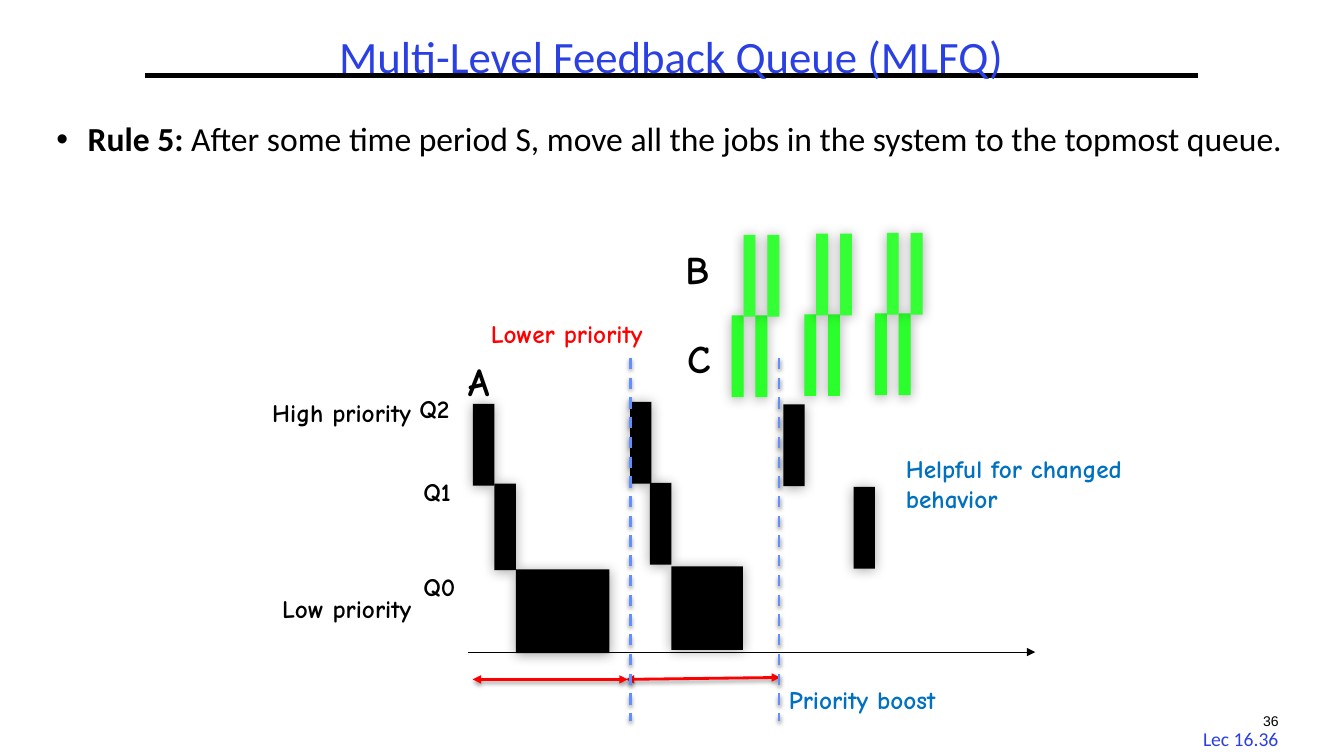
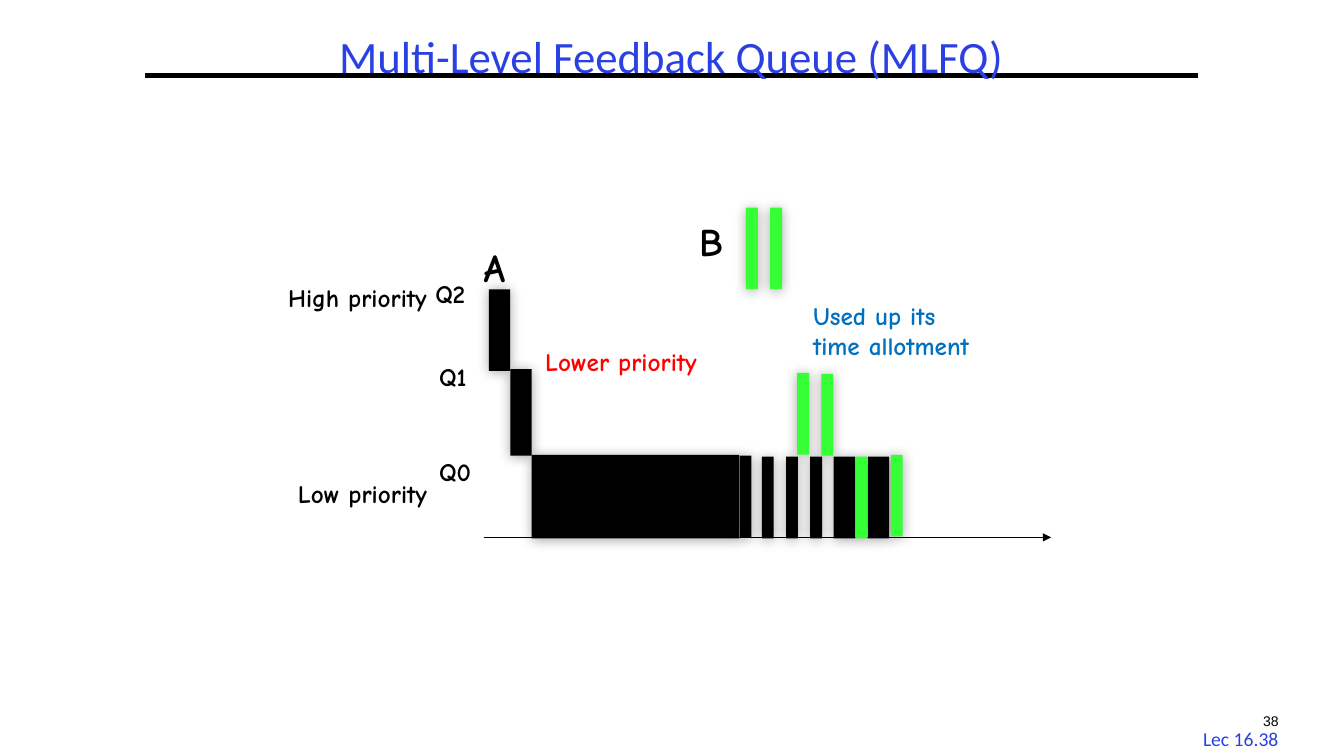
from lxml import etree
from pptx import Presentation
from pptx.dml.color import RGBColor
from pptx.enum.dml import MSO_LINE_DASH_STYLE as Dash
from pptx.enum.shapes import MSO_CONNECTOR as Connector, MSO_SHAPE as Shape
from pptx.enum.text import MSO_ANCHOR as Anchor, PP_ALIGN as Align
from pptx.oxml.ns import qn
from pptx.util import Cm, Pt

BLACK = RGBColor(0x00, 0x00, 0x00)
TITLE_BLUE = RGBColor(0x2A, 0x40, 0xE2)
NOTE_BLUE = RGBColor(0x00, 0x70, 0xC0)
BOOST_BLUE = RGBColor(0x61, 0x8F, 0xFD)
RED = RGBColor(0xFF, 0x00, 0x00)
GREEN_B = RGBColor(0x35, 0xFF, 0x35)
GREEN_C = RGBColor(0x2B, 0xFF, 0x2B)

HAND, BODY = "Comic Neue", "Calibri"
TITLE = "Multi-Level Feedback Queue (MLFQ)"
RULE = ("Rule 5:", " After some time period S, move all the jobs in the system "
        "to the topmost queue.")

# All positions and sizes are in centimetres
SLICE, BLOCK, HEIGHT = 0.3, 0.54, 2.06      # short slice, long slice, queue height
AXIS_LENGTH = 14.3
BLOCK_SHADOW = (35, 9, 1)                   # opacity %, blur pt, distance pt
LINE_SHADOW = (38, 3.1, 1.6)

# Queue chart, relative to the start of its time axis: text, x, y, width, size
CHART_LABELS = [
    ("High priority", -5.18, -6.55, 4.47, 18),
    ("Low priority", -4.93, -1.6, 4.24, 18),
    ("A", -0.25, -7.54, 1.24, 28),
    ("Q0", -1.37, -2.16, 1.47, 18),
    ("Q1", -1.37, -4.55, 1.47, 18),
    ("Q2", -1.47, -6.65, 1.47, 18),
]

# Priority boost slide
PAIR_STARTS = [(18.44, 7.95), (20.27, 7.92), (22.05, 7.9)]
JOB_ROWS = [(GREEN_C, 0, 0), (GREEN_B, SLICE, -2.03)]
BOOSTED_BLOCKS = [
    (15.88, 10.13, BLOCK, HEIGHT),
    (16.38, 12.17, BLOCK, HEIGHT),
    (16.92, 14.27, 1.8, 2.11),
    (19.74, 10.19, BLOCK, HEIGHT),
    (21.51, 12.27, BLOCK, HEIGHT),
]
PERIODS = [(11.91, 17.12, 15.82, 17.12), (15.77, 17.12, 19.66, 17.07)]
BOOST_TIMES = [15.88, 19.63]

# Time allotment slide
A_SLICES = [(18.64, 11.48), (19.2, 11.51), (19.81, 11.51), (20.42, 11.51)]
A_BLOCKS = [(21.01, 11.51), (21.87, 11.51)]
B_SLICES = [(18.8, 5.23), (19.41, 5.23), (20.09, 9.4), (20.7, 9.42),
            (21.56, 11.51), (22.45, 11.46)]


def add_text(slide, parts, x, y, width, height, size, color=BLACK, font=BODY,
             bold=(False,), align=Align.LEFT, wrap=False):
    """Add a one-paragraph box; parts and bold run side by side."""
    box = slide.shapes.add_textbox(Cm(x), Cm(y), Cm(width), Cm(height))
    box.text_frame.word_wrap = wrap
    paragraph = box.text_frame.paragraphs[0]
    paragraph.alignment = align
    for part, weight in zip(parts, bold):
        run = paragraph.add_run()
        run.text = part
        run.font.name, run.font.size, run.font.bold = font, Pt(size), weight
        run.font.color.rgb = color
    return box


def add_label(slide, label, x, y, width, size=18, color=BLACK, height=None):
    """Hand-written label; it wraps only when a height is given."""
    add_text(slide, [label], x, y, width, height or (1.02 if size == 18 else 1.45),
             size, color, HAND, (True,), wrap=height is not None)


def add_effects(properties, shadow=None):
    """Replace theme effects by a downward shadow, or by none."""
    effects = etree.SubElement(properties, qn("a:effectLst"))
    if shadow:
        opacity, blur, distance = shadow
        outer = etree.SubElement(
            effects, qn("a:outerShdw"), blurRad=str(Pt(blur)), dist=str(Pt(distance)),
            dir="5400000", rotWithShape="0")
        black = etree.SubElement(outer, qn("a:srgbClr"), val=str(BLACK))
        etree.SubElement(black, qn("a:alpha"), val=str(opacity * 1000))


def add_block(slide, x, y, width=SLICE, height=HEIGHT, color=BLACK):
    block = slide.shapes.add_shape(Shape.RECTANGLE, Cm(x), Cm(y), Cm(width), Cm(height))
    block.fill.solid()
    block.fill.fore_color.rgb = color
    block.line.fill.background()
    add_effects(block.element.spPr, BLOCK_SHADOW)


def add_line(slide, x1, y1, x2, y2, color, weight, ends=(), dash=None, shadow=None):
    line = slide.shapes.add_connector(Connector.STRAIGHT, Cm(x1), Cm(y1), Cm(x2), Cm(y2))
    line.line.color.rgb = color
    line.line.width = Pt(weight)
    if dash:
        line.line.dash_style = dash
    outline = line.element.spPr.find(qn("a:ln"))
    for end in ends:
        etree.SubElement(outline, qn(f"a:{end}"), type="triangle")
    add_effects(line.element.spPr, shadow)


def add_framed_slide(prs, number):
    """Start a slide with the title, its rule and both footers."""
    slide = prs.slides.add_slide(prs.slide_layouts[6])
    add_text(slide, [f"Lec 16.{number}"], 29.9, 18.19, 2.74, 0.84, 14, TITLE_BLUE,
             align=Align.CENTER)
    add_line(slide, 3.66, 1.9, 30.2, 1.9, BLACK, 3)
    add_text(slide, [str(number)], 31.39, 17.83, 1.27, 1.02, 10, font="Arial",
             align=Align.CENTER, wrap=True)
    title = add_text(slide, [TITLE], 1.17, 0.76, 31.5, 1.47, 32, TITLE_BLUE,
                     align=Align.CENTER, wrap=True)
    title.text_frame.vertical_anchor = Anchor.MIDDLE
    title.text_frame.paragraphs[0].line_spacing = 0.9
    return slide


def add_queue_chart(slide, x, y, low_run):
    """Draw axis, labels and job A sinking to Q0, where it runs low_run long."""
    for label, dx, dy, width, size in CHART_LABELS:
        add_label(slide, label, x + dx, y + dy, width, size)
    add_line(slide, x, y, x + AXIS_LENGTH, y, BLACK, 0.75, ["tailEnd"])
    steps = [(-6.25, BLOCK, HEIGHT), (-4.24, BLOCK, 2.18), (-2.08, low_run, 2.11)]
    for step, (dy, width, height) in enumerate(steps):
        add_block(slide, x + 0.13 + step * BLOCK, y + dy, width, height)


def add_boost_slide(prs):
    slide = add_framed_slide(prs, 36)

    # Rule with bullet
    rule = add_text(slide, RULE, 1.17, 2.97, 31.5, 14.27, 24, bold=(True, False), wrap=True)
    paragraph = rule.text_frame.paragraphs[0]
    paragraph.line_spacing = 0.9
    properties = paragraph._p.get_or_add_pPr()
    properties.set("marL", str(Cm(0.79)))
    properties.set("indent", str(Cm(-0.79)))
    etree.SubElement(properties, qn("a:buFont"), typeface="Arial")
    etree.SubElement(properties, qn("a:buChar"), char="•")

    # Jobs A, B and C
    add_queue_chart(slide, 11.79, 16.43, 2.36)
    for color, dx, dy in JOB_ROWS:
        for x, y in PAIR_STARTS:
            for turn in range(2):
                add_block(slide, x + dx + turn * 2 * SLICE, y + dy, color=color)
    for block in BOOSTED_BLOCKS:
        add_block(slide, *block)

    # Boost periods
    for period in PERIODS:
        add_line(slide, *period, RED, 2, ["headEnd", "tailEnd"], shadow=LINE_SHADOW)
    for x in BOOST_TIMES:
        add_line(slide, x, 9.02, x, 18.16, BOOST_BLUE, 2, dash=Dash.DASH, shadow=LINE_SHADOW)

    # Labels
    add_label(slide, "B", 17.02, 6.05, 1.14, 28)
    add_label(slide, "C", 17.07, 8.31, 1.14, 28)
    add_label(slide, "Lower priority", 12.12, 7.9, 4.9, color=RED)
    add_label(slide, "Priority boost", 19.63, 17.12, 4.7, color=NOTE_BLUE, height=1.8)
    add_label(slide, "Helpful for changed behavior", 22.58, 11.3, 6.15,
              color=NOTE_BLUE, height=1.8)


def add_allotment_slide(prs):
    slide = add_framed_slide(prs, 38)

    # Jobs A and B
    add_queue_chart(slide, 12.19, 13.54, 5.23)
    for x, y in A_SLICES:
        add_block(slide, x, y)
    for x, y in A_BLOCKS:
        add_block(slide, x, y, BLOCK)
    for x, y in B_SLICES:
        add_block(slide, x, y, color=GREEN_B)

    # Labels
    add_label(slide, "B", 17.37, 5.36, 1.14, 28)
    add_label(slide, "Lower priority", 13.49, 8.61, 4.9, color=RED)
    add_label(slide, "Used up its time allotment", 20.24, 7.44, 4.7,
              color=NOTE_BLUE, height=2.57)


def main():
    prs = Presentation()
    prs.slide_width, prs.slide_height = Cm(33.87), Cm(19.05)
    add_boost_slide(prs)
    add_allotment_slide(prs)
    prs.save("out.pptx")


if __name__ == "__main__":
    main()
